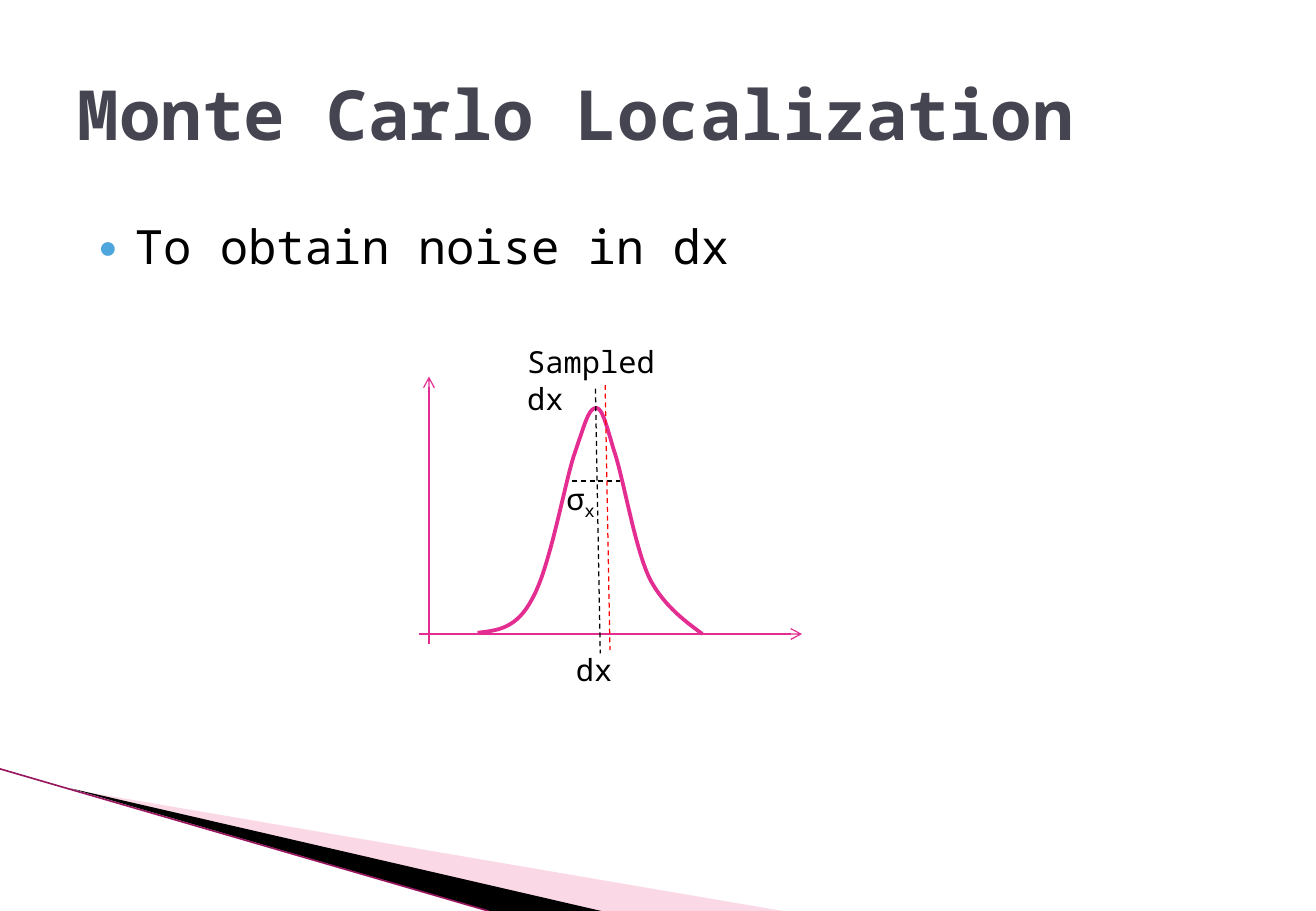
from lxml import etree
from pptx import Presentation
from pptx.dml.color import RGBColor
from pptx.enum.dml import MSO_LINE
from pptx.enum.shapes import MSO_CONNECTOR
from pptx.enum.text import MSO_ANCHOR, MSO_AUTO_SIZE, PP_ALIGN
from pptx.oxml.ns import qn
from pptx.util import Inches, Pt

STRAIGHT, DASH = MSO_CONNECTOR.STRAIGHT, MSO_LINE.DASH
LEFT, MIDDLE, TOP = PP_ALIGN.LEFT, MSO_ANCHOR.MIDDLE, MSO_ANCHOR.TOP
FIXED = MSO_AUTO_SIZE.NONE
FONT = "Noto Sans Mono"
PINK, BLACK, RED = "E32D91", "000000", "FF0000"
CELL = 0.1
BELL = [
    [(4.8, 21.1), (6.4, 20.9), (8, 20.8), (9.3, 18.3)],
    [(9.3, 18.3), (10.7, 15.9), (11.9, 9.2), (12.7, 6.6)],
    [(12.7, 6.6), (13.6, 4), (13.9, 2.7), (14.5, 2.6)],
    [(14.5, 2.6), (15, 2.5), (15.3, 3.6), (16, 6)],
    [(16, 6), (16.8, 8.3), (17.7, 13.9), (18.9, 16.5)],
    [(18.9, 16.5), (20.1, 19), (22.4, 20.5), (23.3, 21.2)],
]


def hue(code):
    """Turn a hex string into a colour."""
    return RGBColor.from_string(code)


def grid(count):
    """Turn grid cells into a length."""
    return Inches(count * CELL)


def spot(box, point):
    """Place a point of a box on the slide."""
    return grid(box[0] + point[0]), grid(box[1] + point[1])


def add(node, tag, **attrs):
    """Append a DrawingML element."""
    return etree.SubElement(node, qn(tag), attrs)


def write(para, text, size, color=BLACK, bold=False):
    """Add one styled run."""
    run = para.add_run()
    run.text = text
    font = run.font
    font.name, font.size, font.bold = FONT, Pt(size), bold
    font.color.rgb = hue(color)
    return run


def rule(slide, box, start, end, color, width=0.75, dash=False, arrow=False):
    """Draw a straight line inside a box."""
    line = slide.shapes.add_connector(STRAIGHT, *spot(box, start), *spot(box, end))
    line.line.color.rgb, line.line.width = hue(color), Pt(width)
    if dash:
        line.line.dash_style = DASH
    if arrow:
        add(line.line._get_or_add_ln(), "a:tailEnd", type="arrow")
    add(line._element.spPr, "a:effectLst")


def trace(slide, box, points, closed):
    """Build an outline through points of a box."""
    first, *rest = [spot(box, point) for point in points]
    form = slide.shapes.build_freeform(*first)
    form.add_line_segments(rest, close=closed)
    shape = form.convert_to_shape()
    shape.shadow.inherit = False
    return shape


def bend(curve, steps=16):
    """List points along one cubic curve."""
    a, b, c, d = curve
    shares = [i / steps for i in range(1, steps + 1)]
    return [tuple((1 - t) ** 3 * a[k] + 3 * (1 - t) ** 2 * t * b[k]
                  + 3 * (1 - t) * t ** 2 * c[k] + t ** 3 * d[k] for k in (0, 1))
            for t in shares]


def wedges(slide, box):
    """Draw the corner decoration."""
    wings = [("F39EC0", 40, [(5.9, 1.7), (64.4, 11.7), (49.4, 11.7)]),
             (BLACK, 100, [(5.8, 1.6), (49.5, 11.7), (40.3, 11.7)])]
    for color, alpha, points in wings:
        wing = trace(slide, box, points, True)
        wing.fill.solid()
        wing.fill.fore_color.rgb = hue(color)
        wing.line.fill.background()
        tint = wing._element.spPr.find(".//" + qn("a:srgbClr"))
        add(tint, "a:alpha", val=str(alpha * 1000))
    rule(slide, box, (0, 0), (40.2, 11.7), "98165F", 0.95)


def fit(holder, box, anchor):
    """Move a placeholder to a box and return its first paragraph."""
    holder.left, holder.top, holder.width, holder.height = map(grid, box)
    frame = holder.text_frame
    frame.auto_size, frame.vertical_anchor = FIXED, anchor
    frame.word_wrap = True
    para = frame.paragraphs[0]
    para.alignment = LEFT
    return para


def head(slide, box):
    """Fill the title."""
    para = fit(slide.shapes.title, box, MIDDLE)
    write(para, "Monte Carlo Localization", 41, "454551", True)


def body(slide, box):
    """Fill the bullet list."""
    para = fit(slide.placeholders[1], box, TOP)
    para.line_spacing, para.space_before = 0.9, Pt(4)
    props = para._p.get_or_add_pPr()
    props.set("marL", str(Inches(0.3)))
    props.set("indent", str(-Inches(0.3)))
    add(add(props, "a:buClr"), "a:srgbClr", val="4EA6DC")
    add(props, "a:buSzPct", val="68000")
    add(props, "a:buFont", typeface=FONT)
    add(props, "a:buChar", char="●")
    write(para, "To obtain noise in dx", 28)


def label(slide, box, point, width, text, sub="", wrap=False):
    """Add a graph label with an optional subscript."""
    note = slide.shapes.add_textbox(*spot(box, point), grid(width), grid(4))
    note.text_frame.word_wrap = wrap
    para = note.text_frame.paragraphs[0]
    write(para, text, 18)
    if sub:
        low = write(para, sub, 18)
        low.font._element.set("baseline", "-25000")


def graph(slide, box):
    """Draw the bell curve with axes, guides and labels."""
    rule(slide, box, (0.8, 22), (0.8, 0), PINK, arrow=True)
    rule(slide, box, (0, 21.2), (31.5, 21.2), PINK, arrow=True)
    points = [BELL[0][0]] + [point for curve in BELL for point in bend(curve)]
    bell = trace(slide, box, points, False)
    bell.fill.background()
    bell.line.color.rgb, bell.line.width = hue(PINK), Pt(2.25)
    guides = [((14.5, 1), (14.9, 22.8), BLACK),
              ((12.6, 8.6), (16.5, 8.6), BLACK),
              ((15.3, 0.7), (15.7, 22.5), RED)]
    for start, end, color in guides:
        rule(slide, box, start, end, color, dash=True)
    label(slide, box, (11.9, 22.1), 5.2, "dx")
    label(slide, box, (11.1, 8), 4.8, "σ", "x")
    label(slide, box, (7.9, -3.2), 16.4, "Sampled dx", wrap=True)


def main():
    """Build and save the slide."""
    deck = Presentation()
    deck.slide_width, deck.slide_height = Inches(10.83), Inches(7.5)
    slide = deck.slides.add_slide(deck.slide_layouts[1])
    wedges(slide, (0, 63.3))
    head(slide, (5.4, 3, 97.5, 12.5))
    body(slide, (7.1, 17.9, 97.5, 49.5))
    graph(slide, (34.5, 31))
    deck.save("out.pptx")


if __name__ == "__main__":
    main()
